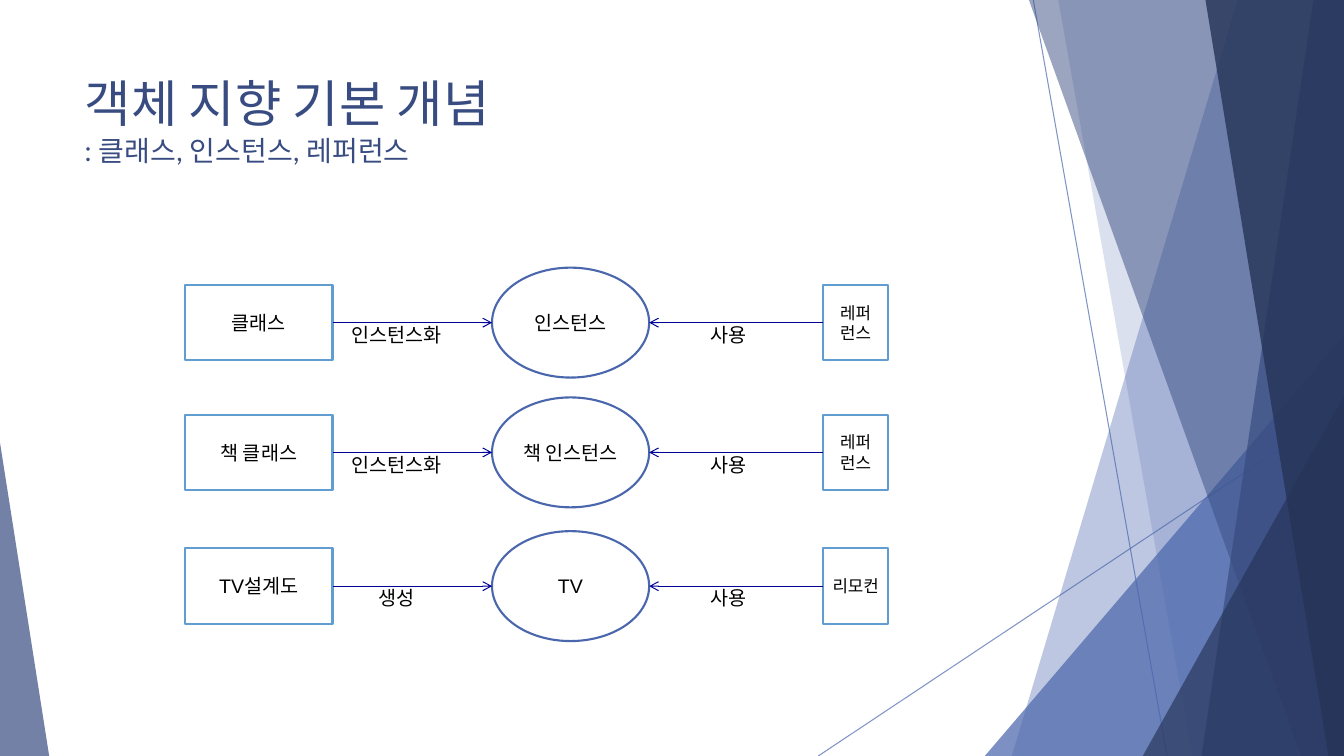
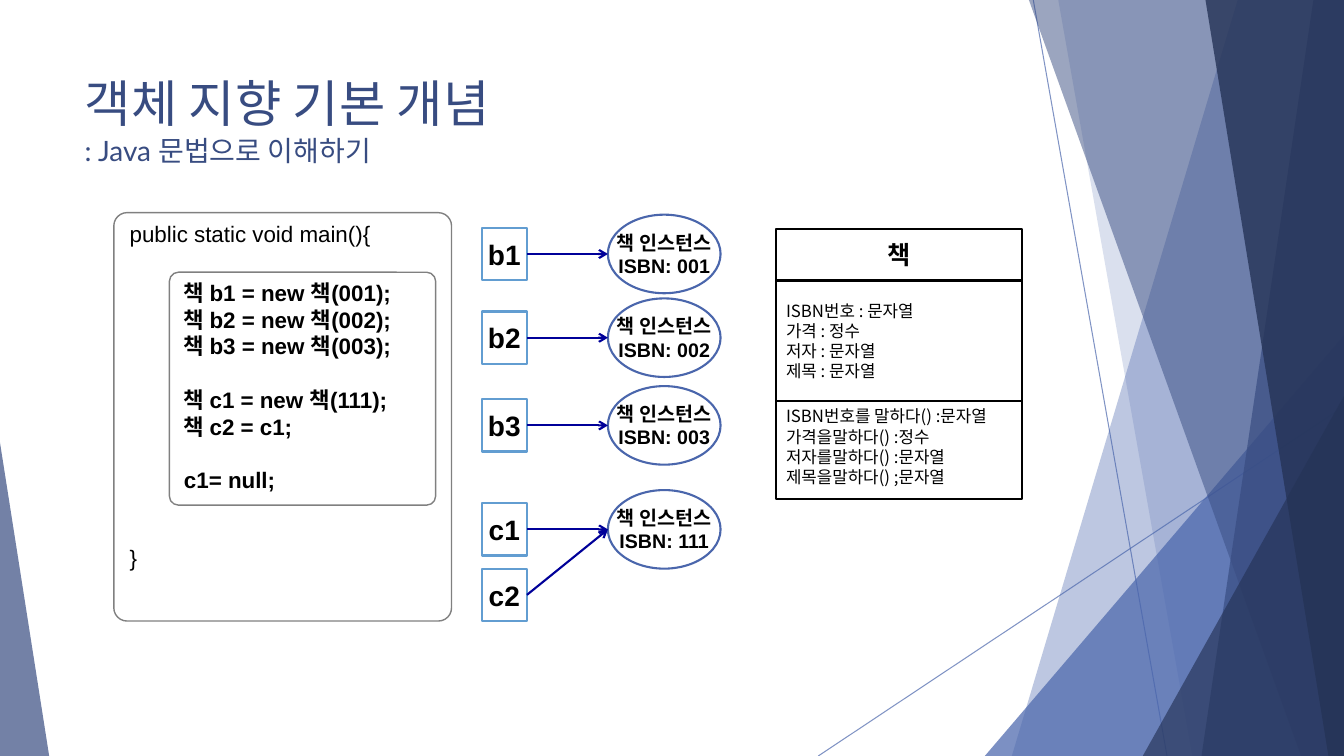
"""Builds two slides on classes, instances and references."""
from pptx import Presentation
from pptx.dml.color import RGBColor
from pptx.enum.shapes import MSO_CONNECTOR as LINK, MSO_SHAPE as KIND
from pptx.enum.text import MSO_ANCHOR as ANCHOR, MSO_AUTO_SIZE as FIT, PP_ALIGN as ALIGN
from pptx.oxml.ns import qn
from pptx.util import Cm, Pt
from lxml.etree import SubElement

HUES = {"blue": "4A66AC", "navy": "384C81", "dark": "253356", "sky": "629DD1",
        "arrow": "000099", "grey": "808080", "black": "000000", "white": "FFFFFF"}
WIDE, HIGH = 33.87, 19.05
TITLE = "객체 지향 기본 개념"
SUBS = [": 클래스, 인스턴스, 레퍼런스", ": Java 문법으로 이해하기"]

RAYS = [(26.04, 0, 29.41, HIGH), (WIDE, 10.24, 20.62, HIGH)]
BANDS = [("quad", (31.19, 25.5), "blue", 36),
         ("quad", (26.67, 30.05), "blue", 20),
         ("wedge", (24.82, 8.46, WIDE, 1), "blue", 72),
         ("quad", (25.93, 32.79), "navy", 50),
         ("quad", (33.1, 30.28), "navy", 70),
         ("quad", (30.38, 33.48), "dark", 80),
         ("wedge", (28.8, 9.98, WIDE, 1), "dark", 66),
         ("wedge", (0, 11.15, 1.24, 0), "navy", 70)]

FLOWS = [(8.13, "클래스", "인스턴스화", "인스턴스", ["레퍼", "런스"]),
         (11.4, "책 클래스", "인스턴스화", "책 인스턴스", ["레퍼", "런스"]),
         (14.77, "TV설계도", "생성", "TV", ["리모컨"])]
USE = "사용"

BOOKS = [(6.4, "001"), (8.51, "002"), (10.72, "003"), (13.34, "111")]
VARS = [("b1", 6.4, 6.4), ("b2", 8.51, 8.51), ("b3", 10.72, 10.72),
        ("c1", 13.34, 13.34), ("c2", 14.99, 13.34)]
MAIN = ["public static void main(){", "}"]
CODE = ["책 b1 = new 책(001);", "책 b2 = new 책(002);", "책 b3 = new 책(003);",
        "책 c1 = new 책(111);", "책 c2 = c1;", "c1= null;"]
FIELDS = ["ISBN번호 : 문자열", "가격 : 정수", "저자 : 문자열", "제목 : 문자열"]
CALLS = ["ISBN번호를 말하다() :문자열", "가격을말하다() :정수",
         "저자를말하다() :문자열", "제목을말하다() ;문자열"]
NOTO = {"size": 12, "face": "Noto Sans CJK KR", "align": ALIGN.LEFT, "lead": 14.4}
CLASS = [(1.3, ["책"], ANCHOR.MIDDLE, {"size": 18, "face": "Lato", "bold": True}),
         (3.04, FIELDS, ANCHOR.MIDDLE, NOTO),
         (2.47, CALLS, ANCHOR.TOP, NOTO)]


def rgb(name):
    return RGBColor.from_string(HUES[name])


def fade(shape, share):
    for hue in shape.element.iter(qn("a:srgbClr")):
        SubElement(hue, qn("a:alpha"), val=str(share * 1000))


def write(frame, lines, size=14, face="Arial", hue="black", bold=False,
          align=ALIGN.CENTER, lead=None, gaps=None):
    for i, line in enumerate(lines):
        para = frame.paragraphs[0] if i == 0 else frame.add_paragraph()
        para.alignment = align
        if lead:
            para.line_spacing = Pt(lead)
        if gaps and i in gaps:
            para.space_before = Pt(gaps[i])
        run = para.add_run()
        run.text = line
        font = run.font
        font.size, font.name, font.bold = Pt(size), face, bold
        font.color.rgb = rgb(hue)


def pad(frame, side, top):
    frame.margin_left = frame.margin_right = Cm(side)
    frame.margin_top = frame.margin_bottom = Cm(top)


def box(slide, kind, left, top, wide, high, line, fill=None, width=1.5):
    shape = slide.shapes.add_shape(kind, Cm(left), Cm(top), Cm(wide), Cm(high))
    shape.shadow.inherit = False
    if fill:
        shape.fill.solid()
        shape.fill.fore_color.rgb = rgb(fill)
    else:
        shape.fill.background()
    if line:
        shape.line.color.rgb = rgb(line)
        shape.line.width = Pt(width)
    else:
        shape.line.fill.background()
    return shape


def node(slide, kind, left, mid, wide, high, lines, **look):
    hue = "blue" if kind == KIND.OVAL else "sky"
    shape = box(slide, kind, left, mid - high / 2, wide, high, hue, "white")
    frame = shape.text_frame
    frame.word_wrap = False
    frame.vertical_anchor = ANCHOR.MIDDLE
    pad(frame, 0, 0)
    write(frame, lines, **look)
    return shape


def rule(slide, ends, hue, width):
    line = slide.shapes.add_connector(LINK.STRAIGHT, *map(Cm, ends))
    line.line.color.rgb = rgb(hue)
    line.line.width = Pt(width)
    SubElement(line.element.spPr, qn("a:effectLst"))
    return line


def arrow(slide, start, side, x, y, width):
    line = rule(slide, (x, y, x, y), "arrow", width)
    line.begin_connect(start, side)
    SubElement(line.line._get_or_add_ln(), qn("a:tailEnd"), type="arrow")


def label(slide, mid, row, text):
    wide = 3
    shape = slide.shapes.add_textbox(Cm(mid - wide / 2), Cm(row - 0.12), Cm(wide), Cm(0.86))
    shape.text_frame.word_wrap = True
    write(shape.text_frame, [text])


def quad(slide, top, foot):
    path = slide.shapes.build_freeform(Cm(top), 0)
    path.add_line_segments([(Cm(WIDE), 0), (Cm(WIDE), Cm(HIGH)), (Cm(foot), Cm(HIGH))])
    return path.convert_to_shape()


def wedge(slide, left, top, right, apex):
    shape = box(slide, KIND.ISOSCELES_TRIANGLE, left, top, right - left, HIGH - top, None)
    shape.adjustments[0] = apex
    return shape


def dress(layout, slide):
    parts = []
    for ends in RAYS:
        ray = rule(slide, ends, "blue", 0.75)
        fade(ray, 70)
        parts.append(ray)
    for kind, place, hue, share in BANDS:
        band = (quad if kind == "quad" else wedge)(slide, *place)
        band.shadow.inherit = False
        band.line.fill.background()
        band.fill.solid()
        band.fill.fore_color.rgb = rgb(hue)
        fade(band, share)
        parts.append(band)
    for part in parts:
        layout.shapes.element.append(part.element)
    title = layout.placeholders[0]
    title.left, title.top, title.width, title.height = map(Cm, (1.88, 1.7, 23.88, 3.66))
    title.text_frame.vertical_anchor = ANCHOR.TOP
    title.text_frame.auto_size = FIT.NONE


def head(slide, sub):
    frame = slide.shapes.title.text_frame
    look = {"face": "Lato", "hue": "navy", "align": ALIGN.LEFT}
    write(frame, [TITLE], size=36, **look)
    frame.add_paragraph()
    para = frame.paragraphs[1]
    para.alignment = ALIGN.LEFT
    run = para.add_run()
    run.text = sub
    run.font.size, run.font.name = Pt(20), "Lato"
    run.font.color.rgb = rgb("navy")


def flows(slide):
    for row, plan, verb, thing, ref in FLOWS:
        left = node(slide, KIND.RECTANGLE, 4.67, row, 3.71, 1.9, [plan])
        node(slide, KIND.OVAL, 12.4, row, 3.96, 2.77, [thing])
        right = node(slide, KIND.RECTANGLE, 20.75, row, 1.63, 1.9, ref, size=12)
        arrow(slide, left, 3, 12.4, row, 0.75)
        arrow(slide, right, 1, 16.36, row, 0.75)
        label(slide, 10, row, verb)
        label(slide, 18.37, row, USE)


def panel(slide, place, lines, bold, gaps):
    shape = box(slide, KIND.ROUNDED_RECTANGLE, *place, "grey", width=1)
    shape.adjustments[0] = 0.039
    frame = shape.text_frame
    frame.vertical_anchor = ANCHOR.TOP
    pad(frame, 0.3, 0.1)
    write(frame, lines, size=16, bold=bold, align=ALIGN.LEFT, gaps=gaps)


def memory(slide):
    panel(slide, (2.87, 5.36, 8.51, 10.29), MAIN, False, {1: 212})
    panel(slide, (4.27, 6.86, 6.71, 5.87), CODE, True, {3: 19, 5: 19})
    for row, code in BOOKS:
        node(slide, KIND.OVAL, 15.32, row, 2.84, 1.98,
             ["책 인스턴스", "ISBN: " + code], bold=True)
    for name, row, goal in VARS:
        var = node(slide, KIND.RECTANGLE, 12.14, row, 1.14, 1.32, [name], size=20, bold=True)
        arrow(slide, var, 3, 15.32, goal, 1.5)
    top = 5.77
    for high, lines, anchor, look in CLASS:
        cell = box(slide, KIND.RECTANGLE, 19.56, top, 6.2, high, "black")
        cell.text_frame.vertical_anchor = anchor
        write(cell.text_frame, lines, **look)
        top += high


def main():
    deck = Presentation()
    deck.slide_width, deck.slide_height = Cm(WIDE), Cm(HIGH)
    layout = deck.slide_layouts[5]
    for sub, draw in zip(SUBS, (flows, memory)):
        slide = deck.slides.add_slide(layout)
        if len(deck.slides) == 1:
            dress(layout, slide)
        head(slide, sub)
        draw(slide)
    deck.save("out.pptx")


if __name__ == "__main__":
    main()
